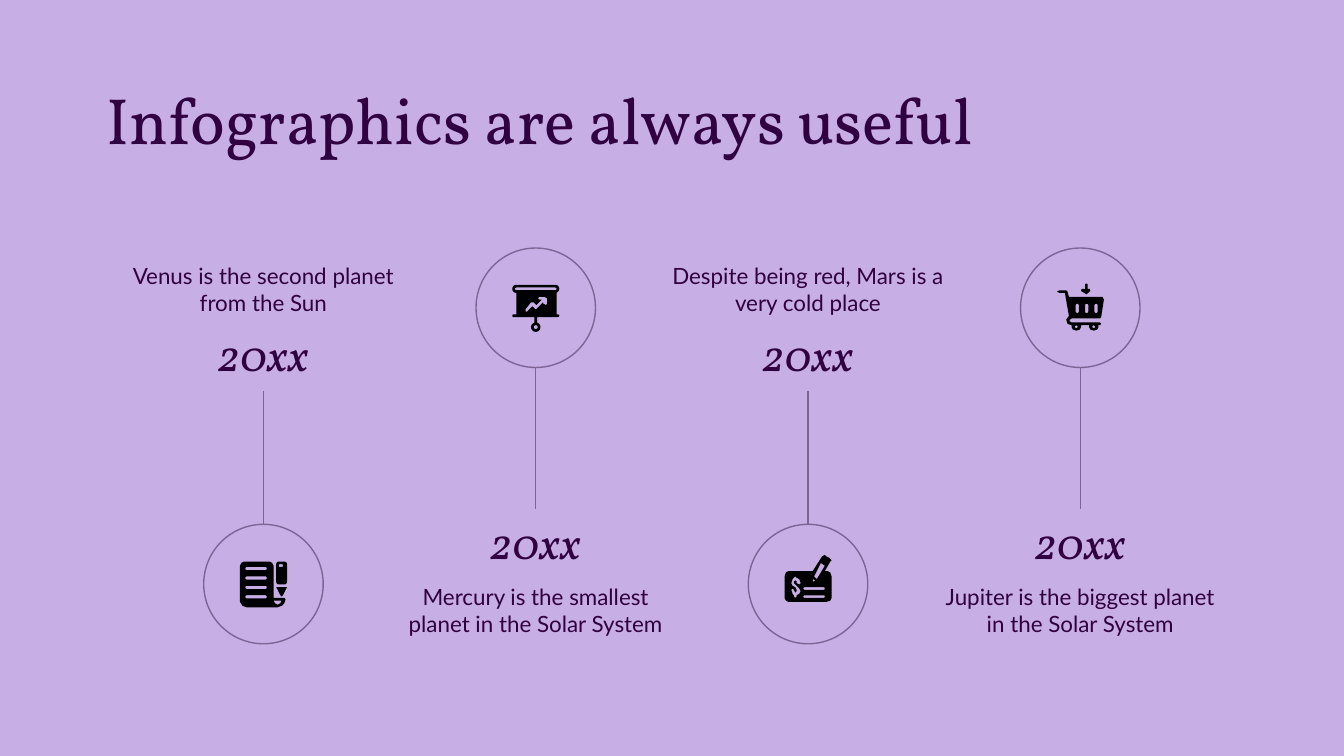
from dataclasses import dataclass
from math import cos, radians, sin

from lxml.etree import SubElement
from pptx import Presentation
from pptx.dml.color import RGBColor
from pptx.enum.shapes import MSO_CONNECTOR as Connector, MSO_SHAPE as Preset
from pptx.enum.text import MSO_ANCHOR as Anchor, PP_ALIGN as Align
from pptx.oxml.ns import qn
from pptx.util import Pt

Point = tuple[float, float]
Contour = list[Point]

LILAC = RGBColor(0xC7, 0xAE, 0xE4)
PLUM = RGBColor(0x31, 0x00, 0x41)
MAUVE = RGBColor(0x7E, 0x63, 0x95)
BLACK = RGBColor(0, 0, 0)

MARGIN = 56.9
COLUMN_WIDTH = 168.5
COLUMN_STEP = 145.87
CIRCLE = 64
ICON_HALF = 12.6
ICON_UNIT = 72
BODY_HEIGHT = 44.6


@dataclass(frozen=True)
class Box:
    left: float
    top: float
    width: float
    height: float


@dataclass(frozen=True)
class TextStyle:
    font: str
    size: float
    align: Align = Align.CENTER
    italic: bool = False
    side_inset: float = 7.2


@dataclass(frozen=True)
class Row:
    year_top: float
    year_height: float
    body_top: float
    circle_top: float
    text_above: bool


@dataclass(frozen=True)
class Milestone:
    text: str
    row: Row
    icon: list[Contour]
    icon_offset: float


TITLE = TextStyle("Vollkorn", 35, Align.LEFT, side_inset=0)
YEAR = TextStyle("Vollkorn", 24, italic=True)
BODY = TextStyle("Lato", 12)
UPPER = Row(167.8, 41.7, 131.8, 280.9, True)
LOWER = Row(272.9, 38.9, 305.3, 132.9, False)


def rounded(left: float, top: float, width: float, height: float, radius: float) -> Contour:
    right, bottom = left + width - radius, top + height - radius
    corners = [(right, bottom), (left + radius, bottom),
               (left + radius, top + radius), (right, top + radius)]
    return [(x + radius * cos(radians(90 * turn + angle)),
             y + radius * sin(radians(90 * turn + angle)))
            for turn, (x, y) in enumerate(corners) for angle in range(0, 91, 15)]


def wheel(left: float) -> list[Contour]:
    rim = [(0, 31), (0, 32.5), (1, 34.3), (3.5, 35), (6, 34.3), (7, 32.5), (7, 31)]
    return [[(left + x, y) for x, y in rim], rounded(left + 2.5, 31.2, 2, 2, 1)]


BOARD = [
    rounded(0, 0, 35, 6, 3), rounded(2, 2, 31, 2, 1),
    [(3, 6), (33, 6), (33, 22), (3, 22)], rounded(0, 22, 35, 2, 1),
    [(24, 9), (26, 10), (26, 14), (25, 15), (23, 14), (23, 13), (18, 18), (17, 18),
     (15, 16), (11, 20), (10, 20), (10, 18), (14, 13), (16, 13), (18, 15), (22, 11),
     (20, 11), (19, 10), (20, 9)],
    [(16.5, 24), (18.5, 24), (18.5, 28), (16.5, 28)],
    rounded(14, 28, 7, 7, 3.5), rounded(16, 30, 3, 3, 1.5),
]
NOTEPAD = [
    [(3, 0), (22, 0), (24, 1), (25, 3), (25, 27), (33, 27), (34, 28), (33, 31),
     (31, 33), (28, 34), (5, 34), (2, 33), (0, 30), (0, 3), (1, 1)],
    [(25, 29), (31, 29), (30, 31), (28, 32), (26, 31)],
    *[rounded(4, top, 16, 2.4, 1.2) for top in (4, 11, 18, 25)],
    rounded(27, 0, 8, 17, 2), rounded(29, 2, 3, 2, 0.5),
    [(27, 19), (35, 19), (34.5, 20), (32, 25), (31, 26), (30, 25), (27.5, 20)],
]
CHEQUE = [
    [(30, 0), (31, 1), (33, 2), (35, 4), (34, 5), (30, 12), (32, 12), (34, 13),
     (35, 16), (35, 32), (34, 34), (31, 35), (3, 35), (1, 34), (0, 32), (0, 16),
     (1, 13), (3, 12), (21, 12), (28, 1)],
    [(27, 6), (30, 8), (24, 18), (22, 16)], [(21, 18), (23, 19), (21, 20)],
    *[rounded(14, top, 16, 2, 1) for top in (24, 30)],
    [(8, 16), (9, 17), (11, 18), (12, 21), (11, 22), (9, 21), (9, 19.5), (8, 19),
     (7, 20), (7, 21), (9, 23), (11, 25), (12, 27), (11, 29), (9, 30), (9, 31),
     (8, 32), (7, 31), (7, 30), (6, 29), (5, 26), (6, 25), (7, 26), (8, 28),
     (9, 27), (9, 26), (8, 24), (6, 23), (5, 21), (6, 18), (7, 17)],
]
CART = [
    [(21, 0.5), (22, 0), (23, 0.5), (23, 4), (24.5, 4), (25, 5.5), (22, 8),
     (18, 5.5), (18.5, 4), (21, 4)],
    [(2, 5), (7, 5), (8, 6), (9, 10), (34, 10), (35, 12), (33, 25), (32, 26),
     (11, 26), (9.5, 27), (9.5, 28), (11, 29), (32, 29), (33, 30), (32, 31),
     (11, 31), (8, 30), (7, 27), (9, 24), (6, 7), (2, 7), (0, 6)],
    *[rounded(left, 15, 2.4, 7, 1.2) for left in (14, 21, 28)],
    *wheel(11), *wheel(24),
]

MILESTONES = [
    Milestone("Venus is the second planet from the Sun", UPPER, NOTEPAD, 20),
    Milestone("Mercury is the smallest planet in the Solar System", LOWER, BOARD, 19.7),
    Milestone("Despite being red, Mars is a very cold place", UPPER, CHEQUE, 16.4),
    Milestone("Jupiter is the biggest planet in the Solar System", LOWER, CART, 19),
]


def add_text(slide, text: str, box: Box, style: TextStyle, anchor: Anchor = Anchor.TOP):
    shape = slide.shapes.add_textbox(Pt(box.left), Pt(box.top), Pt(box.width), Pt(box.height))
    frame = shape.text_frame
    frame.word_wrap = True
    frame.vertical_anchor = anchor
    frame.margin_left = frame.margin_right = Pt(style.side_inset)
    frame.margin_top = frame.margin_bottom = Pt(7.2)
    paragraph = frame.paragraphs[0]
    paragraph.alignment = style.align
    run = paragraph.add_run()
    run.text = text
    run.font.name = style.font
    run.font.size = Pt(style.size)
    run.font.italic = style.italic
    run.font.color.rgb = PLUM
    return shape


def add_icon(slide, contours: list[Contour], left: float, top: float) -> None:
    scaled = [[(round(x * ICON_UNIT), round(y * ICON_UNIT)) for x, y in contour]
              for contour in contours]
    builder = slide.shapes.build_freeform(*scaled[0][0], scale=Pt(1) / 100)
    builder.add_line_segments(scaled[0][1:])
    for contour in scaled[1:]:
        builder.move_to(*contour[0])
        builder.add_line_segments(contour[1:])
    shape = builder.convert_to_shape(Pt(left), Pt(top))
    shape.shadow.inherit = False
    shape.fill.solid()
    shape.fill.fore_color.rgb = BLACK
    shape.line.fill.background()


def add_milestone(slide, milestone: Milestone, left: float) -> None:
    row = milestone.row
    center = left + COLUMN_WIDTH / 2
    year_anchor, body_anchor = ((Anchor.TOP, Anchor.BOTTOM) if row.text_above
                                else (Anchor.BOTTOM, Anchor.TOP))
    year = add_text(slide, "20xx", Box(left, row.year_top, COLUMN_WIDTH, row.year_height),
                    YEAR, year_anchor)
    add_text(slide, milestone.text, Box(left, row.body_top, COLUMN_WIDTH, BODY_HEIGHT),
             BODY, body_anchor)

    circle = slide.shapes.add_shape(Preset.OVAL, Pt(center - CIRCLE / 2), Pt(row.circle_top),
                                    Pt(CIRCLE), Pt(CIRCLE))
    circle.shadow.inherit = False
    circle.fill.background()

    circle_end = row.circle_top + (0 if row.text_above else CIRCLE)
    stem = slide.shapes.add_connector(Connector.STRAIGHT, Pt(center), Pt(circle_end),
                                      Pt(center), Pt(row.year_top))
    stem.end_connect(year, 2 if row.text_above else 0)
    if row.text_above:
        stem.begin_connect(circle, 0)
    SubElement(stem._element.spPr, qn("a:effectLst"))
    for outlined in (circle, stem):
        outlined.line.color.rgb = MAUVE
        outlined.line.width = Pt(0.75)

    add_icon(slide, milestone.icon, center - ICON_HALF, row.circle_top + milestone.icon_offset)


def main() -> None:
    presentation = Presentation()
    presentation.slide_width = Pt(720)
    presentation.slide_height = Pt(405)
    slide = presentation.slides.add_slide(presentation.slide_layouts[6])
    slide.background.fill.solid()
    slide.background.fill.fore_color.rgb = LILAC
    add_text(slide, "Infographics are always useful", Box(MARGIN, 35.3, 606.2, 45.4), TITLE)
    for column, milestone in enumerate(MILESTONES):
        add_milestone(slide, milestone, MARGIN + column * COLUMN_STEP)
    presentation.save("out.pptx")


if __name__ == "__main__":
    main()
